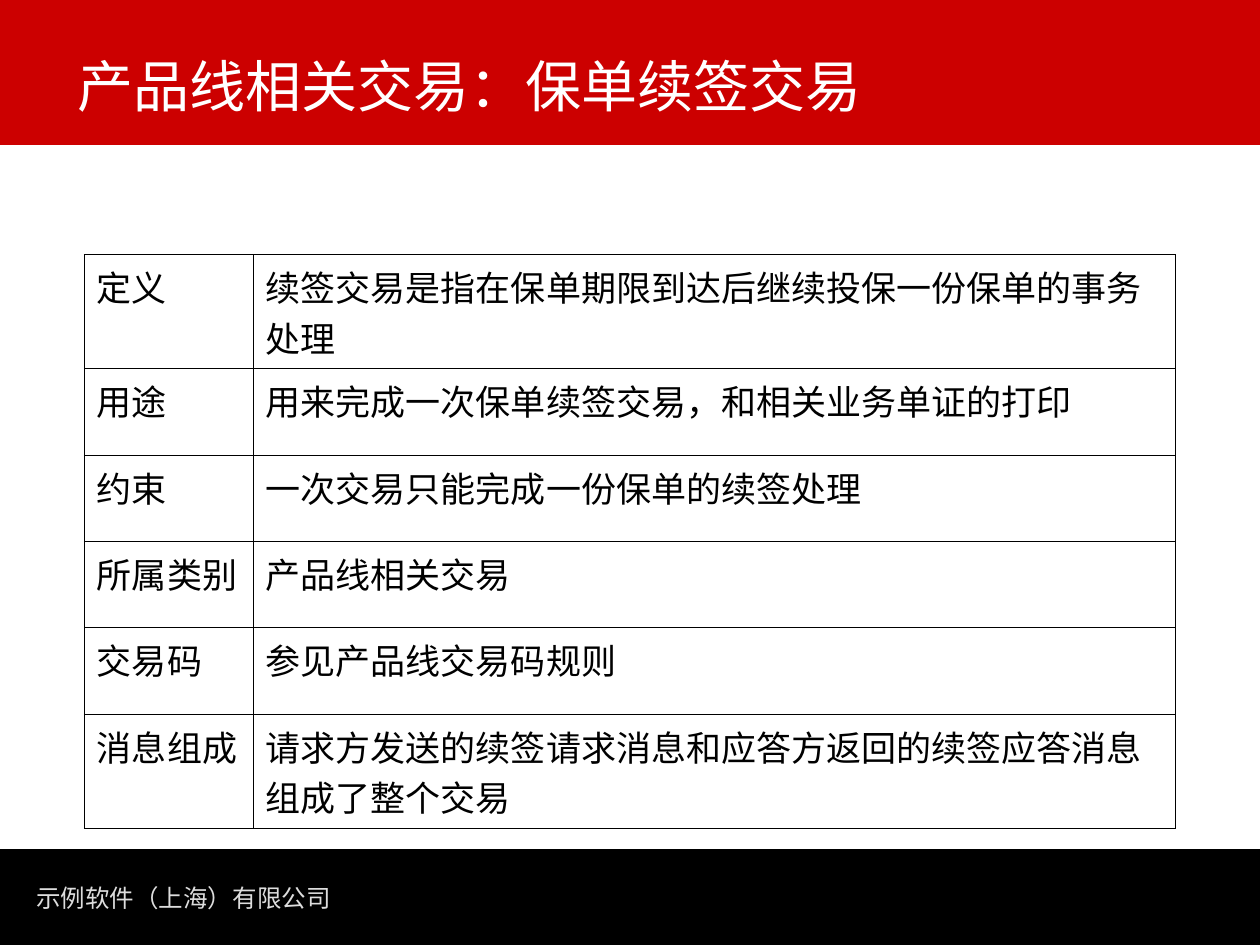
import pptx
import pptx.util
import pptx.dml.color
import pptx.enum.shapes
import pptx.enum.text
import pptx.oxml
import pptx.oxml.ns
import lxml.etree

Cm = pptx.util.Cm
Pt = pptx.util.Pt

COLORS = {"red": "CC0000", "black": "000000", "white": "FFFFFF", "grey": "DDDDDD"}
CJK_FONT = "Noto Sans CJK SC"
TITLE = "产品线相关交易：保单续签交易"
COMPANY = "示例软件（上海）有限公司"
TRANSACTION = [
    ("定义", "续签交易是指在保单期限到达后继续投保一份保单的事务处理", 1.96),
    ("用途", "用来完成一次保单续签交易，和相关业务单证的打印", 1.74),
    ("约束", "一次交易只能完成一份保单的续签处理", 1.74),
    ("所属类别", "产品线相关交易", 1.74),
    ("交易码", "参见产品线交易码规则", 1.74),
    ("消息组成", "请求方发送的续签请求消息和应答方返回的续签应答消息组成了整个交易", 1.96),
]


class SlideBuilder:
    def __init__(self, slide):
        self.slide = slide

    def color(self, name):
        return pptx.dml.color.RGBColor.from_string(COLORS[name])

    def set_text(self, frame, wording, size, font, color):
        frame.text = wording
        for run in frame.paragraphs[0].runs:
            run.font.size = Pt(size)
            run.font.name = font
            run.font.color.rgb = self.color(color)
            east_asian = lxml.etree.SubElement(run.font._element, pptx.oxml.ns.qn("a:ea"))
            east_asian.set("typeface", CJK_FONT)

    def band(self, top, height, color, outlined=False):
        band = self.slide.shapes.add_shape(
            pptx.enum.shapes.MSO_SHAPE.RECTANGLE, 0, Cm(top), Cm(25.4), Cm(height))
        band.shadow.inherit = False
        band.fill.solid()
        band.fill.fore_color.rgb = self.color(color)
        if outlined:
            band.line.color.rgb = self.color(color)
            band.line.width = Pt(0.75)
        else:
            band.line.fill.background()

    def title(self, wording, left, top, width, height):
        title = self.slide.shapes.title
        title.left, title.top, title.width, title.height = map(Cm, (left, top, width, height))
        frame = title.text_frame
        self.set_text(frame, wording, 32, CJK_FONT, "white")
        frame.auto_size = pptx.enum.text.MSO_AUTO_SIZE.NONE
        frame.vertical_anchor = pptx.enum.text.MSO_ANCHOR.BOTTOM
        frame.paragraphs[0].alignment = pptx.enum.text.PP_ALIGN.LEFT
        self.slide.shapes._spTree.append(title._element)

    def footer(self, wording, left, top, width, height):
        footer = self.slide.shapes.add_textbox(*map(Cm, (left, top, width, height)))
        footer.text_frame.word_wrap = False
        self.set_text(footer.text_frame, wording, 14, "DejaVu Sans", "grey")

    def border(self, cell):
        properties = cell._tc.get_or_add_tcPr()
        for index, side in enumerate("LRTB"):
            edge = pptx.oxml.parse_xml(
                f'<a:ln{side} {pptx.oxml.ns.nsdecls("a")} w="{Pt(0.45)}"><a:solidFill>'
                f'<a:srgbClr val="{COLORS["black"]}"/></a:solidFill></a:ln{side}>')
            properties.insert(index, edge)

    def table(self, entries, left, top, widths):
        height = sum(entry[-1] for entry in entries)
        table = self.slide.shapes.add_table(
            len(entries), len(widths), Cm(left), Cm(top), Cm(sum(widths)), Cm(height)).table
        table.first_row = False
        table.horz_banding = False
        for column, width in zip(table.columns, widths):
            column.width = Cm(width)
        for row, (*wordings, row_height) in zip(table.rows, entries):
            row.height = Cm(row_height)
            for cell, wording in zip(row.cells, wordings):
                cell.fill.background()
                self.border(cell)
                self.set_text(cell.text_frame, wording, 20, "Times New Roman", "black")


def main():
    deck = pptx.Presentation()
    deck.slide_width, deck.slide_height = Cm(25.4), Cm(19.05)
    builder = SlideBuilder(deck.slides.add_slide(deck.slide_layouts[5]))
    builder.band(17.12, 1.93, "black", outlined=True)
    builder.band(0, 2.92, "red")
    builder.footer(COMPANY, 0.48, 17.68, 6.45, 0.86)
    builder.title(TITLE, 1.3, 0.13, 22.22, 2.39)
    builder.table(TRANSACTION, 1.7, 5.13, (3.4, 18.6))
    deck.save("out.pptx")


if __name__ == "__main__":
    main()
